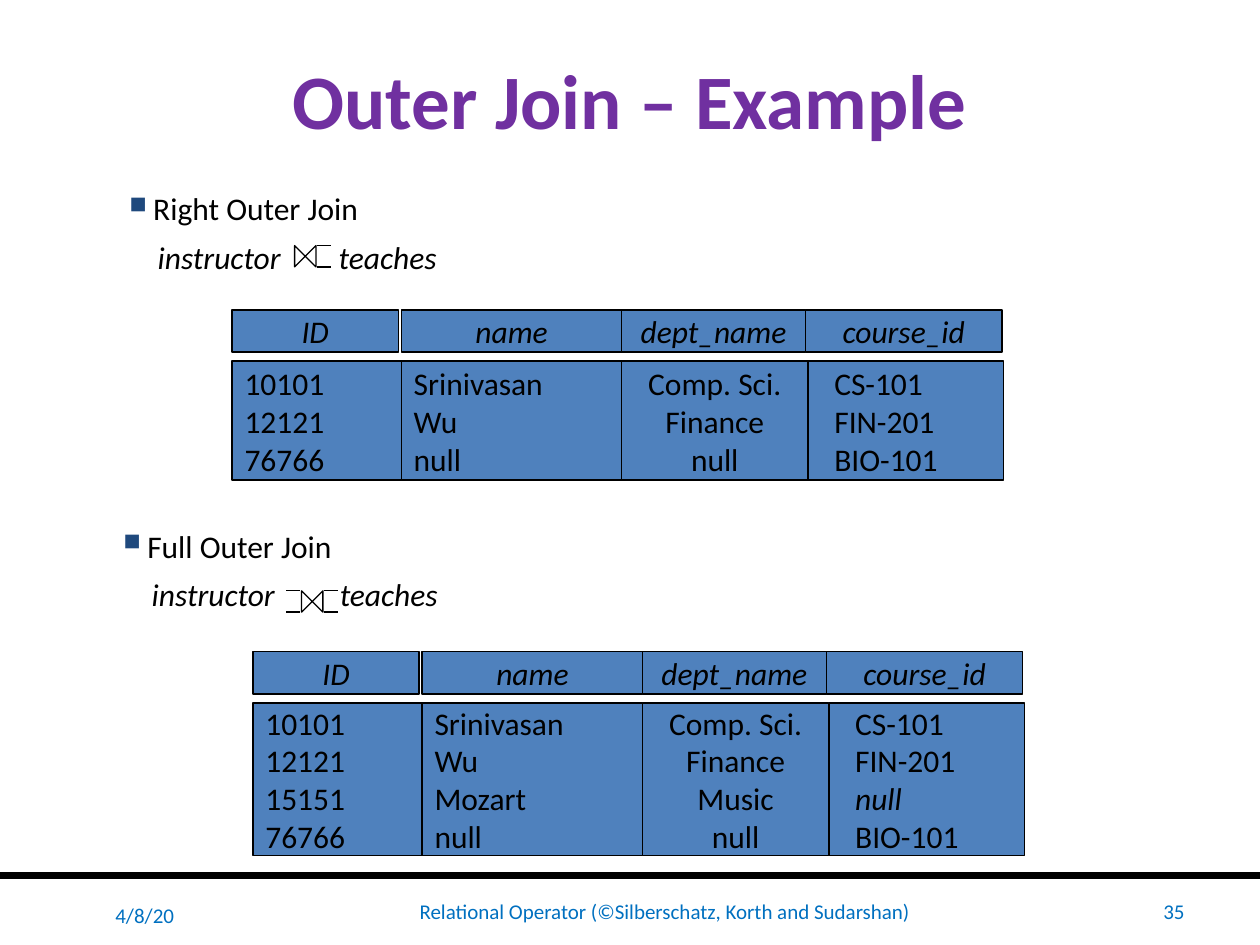
from lxml import etree
from pptx import Presentation
from pptx import util as u
from pptx.dml.color import RGBColor
from pptx.enum import shapes, text
from pptx.oxml.ns import qn

Cm, Pt = u.Cm, u.Pt
LEFT, CENTER, RIGHT = text.PP_ALIGN.LEFT, text.PP_ALIGN.CENTER, text.PP_ALIGN.RIGHT
BLACK, PURPLE, BLUE, FOOT, NAVY = "000000", "7030A0", "4F81BD", "0070C0", "1F497D"

# Column (offset, width) in cm, for the header row and the body
HEAD_COLS = [(0, 3.35), (3.41, 4.45), (7.85, 3.71), (11.56, 3.96)]
BODY_COLS = [(0, 3.43), (3.41, 4.45), (7.85, 3.76), (11.61, 3.94)]
BODY_ALIGN = [LEFT, LEFT, CENTER, LEFT]
HEADERS = ["ID", "name", "dept_name", "course_id"]


def color(value):
    return RGBColor.from_string(value)


def add_run(p, words, fill=BLACK, **font):
    r = p.add_run()
    r.text = words
    for key, value in {"name": "Calibri", "size": Pt(18), **font}.items():
        setattr(r.font, key, value)
    r.font.color.rgb = color(fill)
    return r


def add_par(tf, words, first, align=LEFT, fill=BLACK, **font):
    p = tf.paragraphs[0] if first else tf.add_paragraph()
    p.alignment = align
    add_run(p, words, fill, **font)
    return p


def indent(p, left, hanging=0, bullet=None):
    pPr = p._p.get_or_add_pPr()
    pPr.set("marL", str(Cm(left)))
    pPr.set("indent", str(-Cm(hanging)))
    if bullet:
        clr = etree.SubElement(pPr, qn("a:buClr"))
        etree.SubElement(clr, qn("a:srgbClr"), val=NAVY)
        etree.SubElement(pPr, qn("a:buSzPct"), val="75000")
        etree.SubElement(pPr, qn("a:buChar"), char=bullet)


def add_text(s, box, anchor=text.MSO_ANCHOR.MIDDLE):
    tf = s.shapes.add_textbox(*map(Cm, box)).text_frame
    tf.word_wrap = True
    tf.vertical_anchor = anchor
    return tf


def add_shape(s, kind, box, fill=None):
    sp = s.shapes.add_shape(kind, *map(Cm, box))
    sp.shadow.inherit = False
    if fill:
        sp.fill.solid()
        sp.fill.fore_color.rgb = color(fill)
    else:
        sp.fill.background()
    sp.line.color.rgb = color(BLACK)
    sp.line.width = Pt(0.75)
    return sp


def add_line(s, x1, y1, x2, y2, width=0.75):
    ln = s.shapes.add_connector(shapes.MSO_CONNECTOR.STRAIGHT, *map(Cm, (x1, y1, x2, y2)))
    ln.line.color.rgb = color(BLACK)
    ln.line.width = Pt(width)
    etree.SubElement(ln._element.spPr, qn("a:effectLst"))


def title(s, box, words):
    add_par(add_text(s, box), words, True, CENTER, PURPLE, size=Pt(44), bold=True)


def join_symbol(s, x, y, arms):
    """Bow tie with a pair of short arms at each listed offset."""
    size, arm = 0.43, 0.28
    sp = add_shape(s, shapes.MSO_SHAPE.FLOWCHART_COLLATE, (x, y, size, size))
    sp.rotation = 270
    for dx in arms:
        for dy in (0, size):
            add_line(s, x + dx, y + dy, x + dx + arm, y + dy)


def join_heading(s, box, name, gap, symbol, arms):
    """Bulleted join name above its expression; gap (pt) makes room for the symbol."""
    tf = add_text(s, box, text.MSO_ANCHOR.TOP)
    p = add_par(tf, name, True)
    indent(p, 0.48, 0.48, bullet="■")
    p = add_par(tf, "instructor", False, italic=True)
    p.space_before = Pt(6.3)
    indent(p, 0.57)
    # One space, widened by character spacing
    space = add_run(p, " ", italic=True)
    space._r.get_or_add_rPr().set("spc", str(gap * 100))
    add_run(p, "teaches", italic=True)
    join_symbol(s, box[0] + symbol[0], box[1] + symbol[1], arms)


def cell(s, box, lines, align, italics=(), left=0):
    tf = add_shape(s, shapes.MSO_SHAPE.RECTANGLE, box, BLUE).text_frame
    tf.word_wrap = True
    tf.vertical_anchor = text.MSO_ANCHOR.MIDDLE
    for i, words in enumerate(lines):
        p = add_par(tf, words, i == 0, align, italic=words in italics)
        indent(p, left)


def relation(s, x, y, rows, italics=()):
    """Header boxes, then one box per column holding all its values."""
    for (dx, w), name in zip(HEAD_COLS, HEADERS):
        cell(s, (x + dx, y, w, 0.85), [name], CENTER, HEADERS)
    height = 0.36 + 0.68 * len(rows)
    for i, ((dx, w), values) in enumerate(zip(BODY_COLS, zip(*rows))):
        last = i == len(HEADERS) - 1
        cell(s, (x + dx, y + 1.03, w, height), values, BODY_ALIGN[i],
             italics if last else (), 0.28 if last else 0)


def footer(s, y):
    add_line(s, 0, y, 25.4, y, 4.5)
    for x, w, h, words, align in [
        (0.99, 2.77, 1.19, "4/8/20", RIGHT),
        (4.17, 18.47, 1.02, "Relational Operator (©Silberschatz, Korth and Sudarshan)", CENTER),
        (23.01, 1.12, 1.02, "35", RIGHT),
    ]:
        add_par(add_text(s, (x, y + 0.2, w, h)), words, True, align, FOOT, size=Pt(12))


def main():
    prs = Presentation()
    prs.slide_width, prs.slide_height = Cm(25.4), Cm(19.05)
    s = prs.slides.add_slide(prs.slide_layouts[6])

    footer(s, 17.65)
    title(s, (1.27, 0.41, 22.86, 3.17), "Outer Join – Example")

    # Right outer join
    join_heading(s, (2.36, 3.68, 11.3, 2.06), "Right Outer Join", 29, (3.58, 1.27), [0.46])
    relation(s, 4.68, 6.25, [
        ("10101", "Srinivasan", "Comp. Sci.", "CS-101"),
        ("12121", "Wu", "Finance", "FIN-201"),
        ("76766", "null", "null", "BIO-101"),
    ])

    # Full outer join
    join_heading(s, (2.24, 10.49, 11.3, 2.06), "Full Outer Join", 33, (3.84, 1.42), [-0.31, 0.46])
    relation(s, 5.1, 13.14, [
        ("10101", "Srinivasan", "Comp. Sci.", "CS-101"),
        ("12121", "Wu", "Finance", "FIN-201"),
        ("15151", "Mozart", "Music", "null"),
        ("76766", "null", "null", "BIO-101"),
    ], italics=["null"])

    prs.save("out.pptx")


if __name__ == "__main__":
    main()
